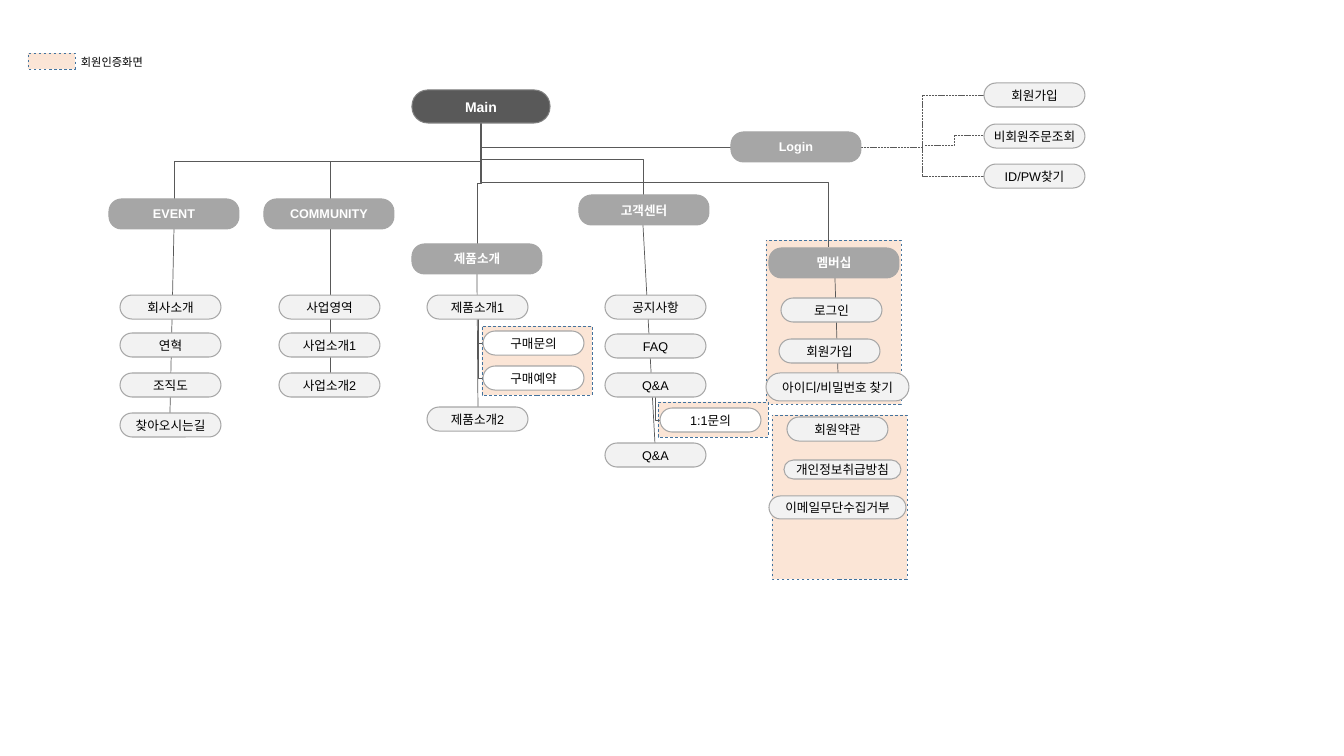
from dataclasses import dataclass

from lxml import etree
from pptx import Presentation, util as u
from pptx.dml.color import RGBColor
from pptx.enum import dml, shapes, text
from pptx.oxml.ns import qn

PX = 914400 / 100.8  # EMU in one pixel


@dataclass(frozen=True)
class Theme:
    font: str = "Arial"
    korean_font: str = "Noto Sans CJK KR"
    main_size: float = 10
    box_size: float = 9
    legend_size: float = 8
    dark: str = "595959"
    main_edge: str = "808080"
    grey: str = "A6A6A6"
    pale: str = "F2F2F2"
    white: str = "FFFFFF"
    black: str = "000000"
    area: str = "FBE5D6"
    area_edge: str = "43739E"


T = Theme()
SECTION = (130, 30)
ITEM = (101, 24)


def px(n):
    return u.Emu(round(n * PX))


def style_line(line, color, width, dash=None):
    line.color.rgb = RGBColor.from_string(color)
    line.width = u.Pt(width)
    if dash:
        line.dash_style = dash


def write(tf, label, size, color, font, bold=False):
    tf.text = label
    p = tf.paragraphs[0]
    for r in p.runs:
        r.font.name = font
        r.font.size = u.Pt(size)
        r.font.bold = bold
        r.font.color.rgb = RGBColor.from_string(color)
        etree.SubElement(r.font._element, qn("a:ea"), typeface=T.korean_font)
    return p


def add_block(s, kind, x, y, w, h, fill, edge, width, dash=None):
    sp = s.shapes.add_shape(kind, px(x), px(y), px(w), px(h))
    sp.shadow.inherit = False
    sp.fill.solid()
    sp.fill.fore_color.rgb = RGBColor.from_string(fill)
    style_line(sp.line, edge, width, dash)
    return sp


def add_area(s, x, y, w, h):
    add_block(s, shapes.MSO_SHAPE.RECTANGLE, x, y, w, h,
              T.area, T.area_edge, 0.5, dml.MSO_LINE.DASH)


def add_pill(s, label, x, y, size=ITEM, fill=T.pale, edge=T.grey, round_by=0.5,
             pt=T.box_size, color=T.black, bold=False):
    sp = add_block(s, shapes.MSO_SHAPE.ROUNDED_RECTANGLE, x, y, *size, fill, edge, 0.75)
    sp.adjustments[0] = round_by
    tf = sp.text_frame
    tf.margin_left = tf.margin_right = tf.margin_top = tf.margin_bottom = px(2)
    tf.vertical_anchor = text.MSO_ANCHOR.MIDDLE
    p = write(tf, label, pt, color, T.font, bold)
    p.alignment = text.PP_ALIGN.CENTER
    p.space_before = u.Pt(pt / 10)


def add_section(s, label, x, y):
    add_pill(s, label, x, y, SECTION, T.grey, round_by=0.417, color=T.white, bold=True)


def add_line(s, start, end, kind=shapes.MSO_CONNECTOR.STRAIGHT, dash=None):
    c = s.shapes.add_connector(kind, *map(px, start + end))
    style_line(c.line, T.dark, 0.5, dash)
    etree.SubElement(c._element.spPr, qn("a:effectLst"))
    return c


def add_drop(s, start, end, preset="bentConnector3"):
    """Elbow that leaves its start downwards: a turned horizontal elbow."""
    c = add_line(s, start, end, shapes.MSO_CONNECTOR.ELBOW)
    (x1, y1), (x2, y2) = start, end
    w, h = y2 - y1, abs(x2 - x1)
    c.left, c.top = px((x1 + x2 - w) / 2), px((y1 + y2 - h) / 2)
    c.width, c.height = px(w), px(h)
    xfrm = c._element.spPr.find(qn("a:xfrm"))
    rightward = x2 > x1
    xfrm.set("rot", str((270 if rightward else 90) * 60000))
    xfrm.set("flipH", str(int(rightward)))
    xfrm.set("flipV", "0")
    c._element.spPr.find(qn("a:prstGeom")).set("prst", preset)


def add_legend(s):
    add_area(s, 28, 53, 47, 16)
    tb = s.shapes.add_textbox(px(71), px(50), px(89), px(24))
    tb.text_frame.word_wrap = False
    write(tb.text_frame, "회원인증화면", T.legend_size, T.black, T.korean_font)


def add_connectors(s):
    # Main to the sections
    hub = (481, 123)
    for end in ((330, 199), (174, 199), (477, 244), (643, 195)):
        add_drop(s, hub, end)
    add_drop(s, (480, 118), (828, 247))
    add_drop(s, hub, (731, 147), "bentConnector2")

    # Sections down through their items
    for start, end in (((174, 229), (170, 413)), ((330, 229), (330, 373)),
                       ((643, 225), (655, 443)), ((477, 274), (478, 407)),
                       ((835, 278), (838, 373))):
        add_line(s, start, end)

    # Items to their member-only screens
    for start, end in (((655, 397), (660, 420)), ((478, 319), (483, 343)),
                       ((478, 319), (483, 378))):
        add_drop(s, start, end, "bentConnector2")

    # Login to its items
    for start, end in (((861, 147), (984, 95)), ((861, 147), (984, 176)),
                       ((925, 145), (984, 135))):
        add_line(s, start, end, shapes.MSO_CONNECTOR.ELBOW, dml.MSO_LINE.SQUARE_DOT)


def main():
    prs = Presentation()
    prs.slide_width, prs.slide_height = px(1344), px(756)
    s = prs.slides.add_slide(prs.slide_layouts[6])

    # Member-only areas and legend
    for area in ((772, 415, 135, 164), (766, 240, 135, 164),
                 (658, 402, 110, 35), (482, 326, 110, 69)):
        add_area(s, *area)
    add_legend(s)
    add_connectors(s)

    # Main and sections
    add_pill(s, "Main", 412, 90, (138, 33), T.dark, T.main_edge, 0.479,
             T.main_size, T.white, True)
    for label, x, y in (("EVENT", 109, 199), ("COMMUNITY", 264, 199),
                        ("제품소개", 412, 244), ("고객센터", 579, 195),
                        ("Login", 731, 132), ("멤버십", 769, 248)):
        add_section(s, label, x, y)

    # Columns of items
    columns = {
        120: (("회사소개", 295), ("연혁", 333), ("조직도", 373), ("찾아오시는길", 413)),
        279: (("사업영역", 295), ("사업소개1", 333), ("사업소개2", 373)),
        427: (("제품소개1", 295), ("제품소개2", 407)),
        605: (("공지사항", 295), ("FAQ", 334), ("Q&A", 373), ("Q&A", 443)),
        984: (("회원가입", 83), ("비회원주문조회", 124), ("ID/PW찾기", 164)),
    }
    for x, items in columns.items():
        for label, y in items:
            add_pill(s, label, x, y)

    # Member-only screens
    for label, x, y in (("구매문의", 483, 331), ("구매예약", 483, 366),
                        ("1:1문의", 660, 408)):
        add_pill(s, label, x, y, fill=T.white)

    # Membership items
    for label, x, y, size in (("로그인", 781, 298, ITEM), ("회원가입", 779, 339, ITEM),
                              ("아이디/비밀번호 찾기", 766, 373, (143, 28)),
                              ("회원약관", 787, 417, ITEM),
                              ("개인정보취급방침", 784, 460, (117, 19)),
                              ("이메일무단수집거부", 769, 496, (137, 23))):
        add_pill(s, label, x, y, size)

    prs.save("out.pptx")


main()
